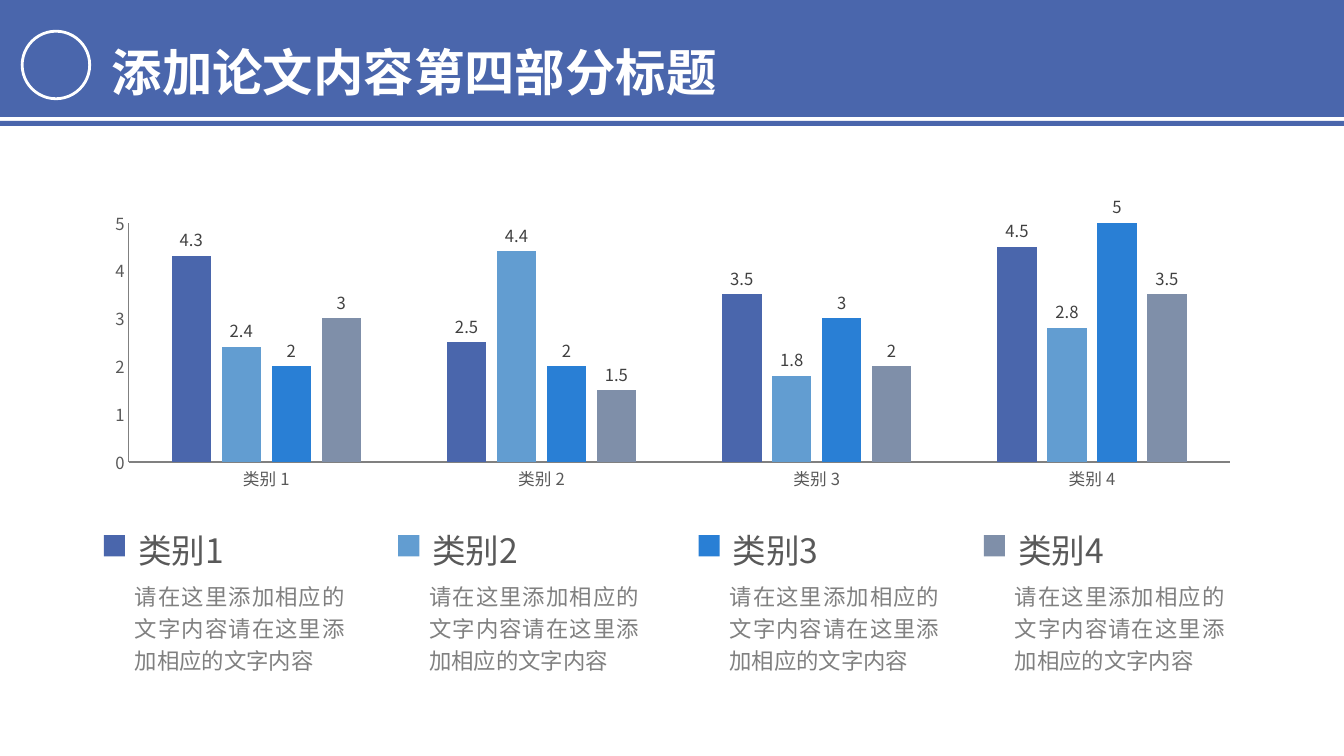
from lxml import etree
from pptx import Presentation
from pptx.chart.data import CategoryChartData
from pptx.dml.color import RGBColor
from pptx.enum.chart import XL_CHART_TYPE, XL_LABEL_POSITION, XL_TICK_MARK
from pptx.enum.shapes import MSO_SHAPE
from pptx.enum.text import MSO_ANCHOR, PP_ALIGN
from pptx.oxml import parse_xml
from pptx.oxml.ns import nsdecls, qn
from pptx.util import Pt

FONT = "Noto Sans CJK SC"
WHITE = RGBColor(0xFF, 0xFF, 0xFF)
INDIGO = RGBColor(0x4A, 0x66, 0xAC)
SKY = RGBColor(0x62, 0x9D, 0xD1)
BLUE = RGBColor(0x29, 0x7F, 0xD5)
SLATE = RGBColor(0x7F, 0x8F, 0xA9)
LABEL_GRAY = RGBColor(0x40, 0x40, 0x40)
DARK_GRAY = RGBColor(0x59, 0x59, 0x59)
GRAY = RGBColor(0x80, 0x80, 0x80)

presentation = Presentation()
presentation.slide_width = Pt(960)
presentation.slide_height = Pt(540)
slide = presentation.slides.add_slide(presentation.slide_layouts[6])


def add_text(text, left, top, width, height, size, color, bold=False,
             align=PP_ALIGN.LEFT, anchor=MSO_ANCHOR.TOP, spacing=1.0, inset=(7.2, 3.6)):
    shape = slide.shapes.add_textbox(Pt(left), Pt(top), Pt(width), Pt(height))
    frame = shape.text_frame
    frame.word_wrap = True
    frame.vertical_anchor = anchor
    frame.margin_left = frame.margin_right = Pt(inset[0])
    frame.margin_top = frame.margin_bottom = Pt(inset[1])
    paragraph = frame.paragraphs[0]
    paragraph.alignment = align
    paragraph.line_spacing = spacing
    run = paragraph.add_run()
    run.text = text
    run.font.size = Pt(size)
    run.font.bold = bold
    run.font.color.rgb = color
    run.font.name = FONT
    etree.SubElement(run.font._element, qn("a:ea"), typeface=FONT)


def add_block(kind, left, top, width, height, color):
    shape = slide.shapes.add_shape(kind, Pt(left), Pt(top), Pt(width), Pt(height))
    shape.shadow.inherit = False
    shape.fill.solid()
    shape.fill.fore_color.rgb = color
    shape.line.fill.background()
    return shape


add_block(MSO_SHAPE.RECTANGLE, 0, 0, 960, 83.5, INDIGO)
add_block(MSO_SHAPE.RECTANGLE, 0, 86.4, 960, 3.6, INDIGO)

series_styles = [
    ((4.3, 2.5, 3.5, 4.5), INDIGO),
    ((2.4, 4.4, 1.8, 2.8), SKY),
    ((2, 2, 3, 5), BLUE),
    ((3, 1.5, 2, 3.5), SLATE),
]
chart_data = CategoryChartData()
chart_data.categories = [f"类别 {number}" for number in range(1, 5)]
for number, (values, color) in enumerate(series_styles, 1):
    chart_data.add_series(f"Series {number}", values)
chart = slide.shapes.add_chart(
    XL_CHART_TYPE.COLUMN_CLUSTERED, Pt(66.24), Pt(138.24), Pt(828.72), Pt(216), chart_data
).chart
chart.has_legend = False
chart.has_title = False
chart.font.name = FONT
chart.font.size = Pt(10)

for axis in (chart.category_axis, chart.value_axis):
    axis.has_major_gridlines = False
    axis.major_tick_mark = XL_TICK_MARK.NONE
    axis.minor_tick_mark = XL_TICK_MARK.NONE
    axis.format.line.color.rgb = GRAY
    axis.format.line.width = Pt(0.75)
    axis.tick_labels.font.name = FONT
    axis.tick_labels.font.size = Pt(11.9)
    axis.tick_labels.font.color.rgb = DARK_GRAY
chart.value_axis.minimum_scale = 0
chart.value_axis.maximum_scale = 5
chart.value_axis.major_unit = 1

plot = chart.plots[0]
plot.vary_by_categories = False
plot.gap_width = 219
plot.overlap = -27
for series, (values, color) in zip(plot.series, series_styles):
    series.format.fill.solid()
    series.format.fill.fore_color.rgb = color
    labels = series.data_labels
    labels.show_value = True
    labels.position = XL_LABEL_POSITION.OUTSIDE_END
    labels.font.name = FONT
    labels.font.size = Pt(11.9)
    labels.font.color.rgb = LABEL_GRAY

for latin in list(chart._chartSpace.iter(qn("a:latin"))):
    latin.addnext(parse_xml(f'<a:ea {nsdecls("a")} typeface="{FONT}"/>'))

plot_area = chart._chartSpace.chart.plotArea
for layout in plot_area.findall(qn("c:layout")):
    plot_area.remove(layout)
plot_area.insert(0, parse_xml(
    f'<c:layout {nsdecls("c")}><c:manualLayout><c:layoutTarget val="inner"/>'
    '<c:xMode val="edge"/><c:yMode val="edge"/><c:x val="0.031"/><c:y val="0.094"/>'
    '<c:w val="0.949"/><c:h val="0.794"/></c:manualLayout></c:layout>'))

column_lefts = (89.28, 299.52, 514.08, 717.84)
for number, (left, (values, color)) in enumerate(zip(column_lefts, series_styles), 1):
    add_text(f"类别{number}", left, 365.04, 105.12, 56.16, size=24, color=DARK_GRAY,
             anchor=MSO_ANCHOR.MIDDLE, inset=(9.36, 5.04))
    add_text("请在这里添加相应的文字内容请在这里添加相应的文字内容", left, 408.96, 164.16, 77.04,
             size=16, color=GRAY, align=PP_ALIGN.JUSTIFY, spacing=1.2)
    add_block(MSO_SHAPE.RECTANGLE, left - 15.12, 382.32, 15.12, 15.12, color)

ring = add_block(MSO_SHAPE.OVAL, 15.84, 22.32, 48.24, 48.24, INDIGO)
ring.line.color.rgb = WHITE
ring.line.width = Pt(2)
add_text("添加论文内容第四部分标题", 72.72, 4.32, 449.28, 66.24, size=36, color=WHITE,
         bold=True, spacing=1.5)

presentation.save("out.pptx")
